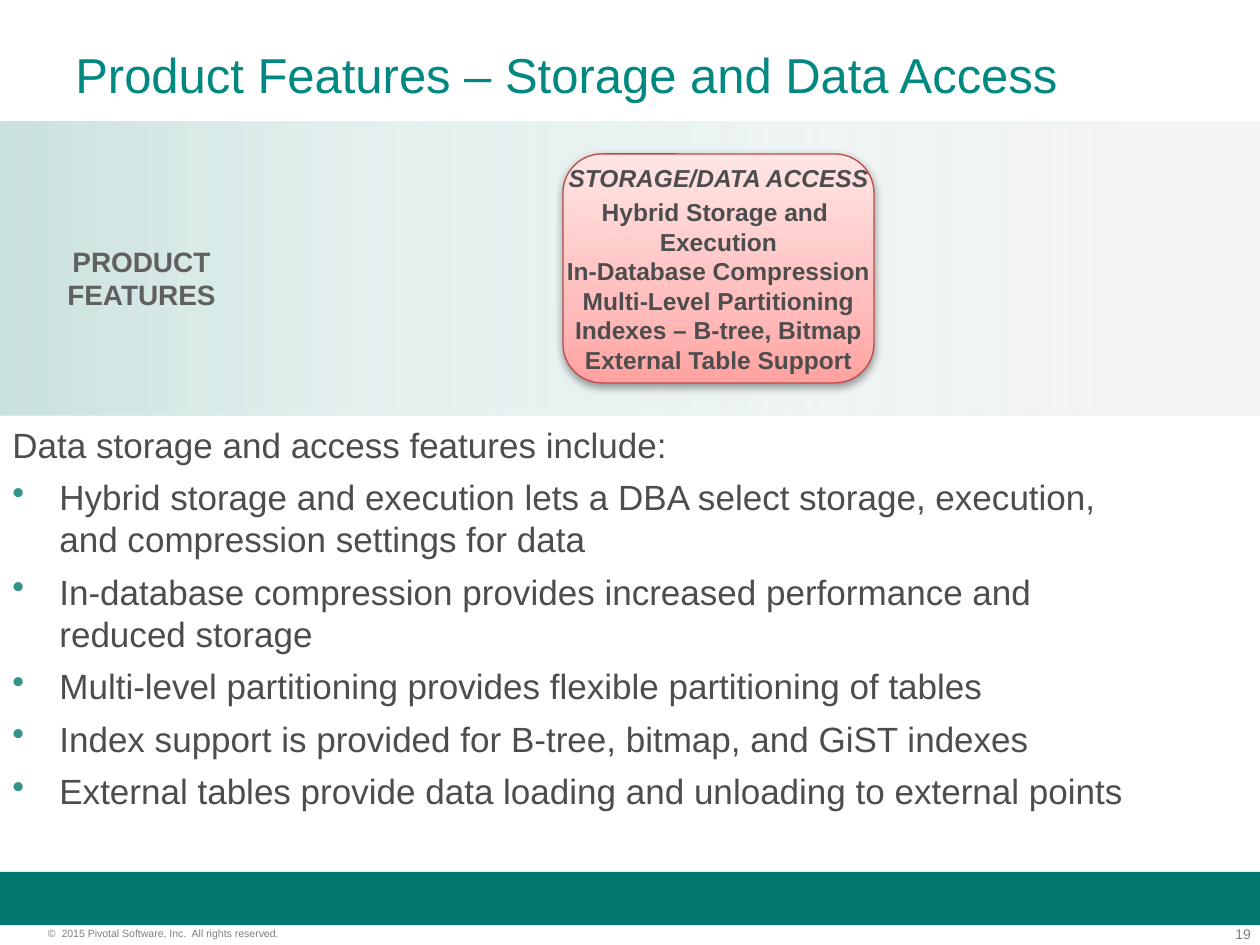
import pptx
import pptx.dml.color
import pptx.enum.shapes
import pptx.enum.text
import pptx.oxml
import pptx.oxml.ns
import pptx.util

RGB = pptx.dml.color.RGBColor
ALIGN = pptx.enum.text.PP_ALIGN
ANCHOR = pptx.enum.text.MSO_ANCHOR
SHAPE = pptx.enum.shapes.MSO_SHAPE
Pt = pptx.util.Pt
PX = 914400 / 126
NS = pptx.oxml.ns.nsdecls("a")

TITLE_TEAL = RGB(0x00, 0x88, 0x81)
FOOTER_TEAL = RGB(0x00, 0x78, 0x6E)
BULLET_TEAL = RGB(0x33, 0x92, 0x8A)
BODY_GRAY = RGB(0x4D, 0x4D, 0x4D)
LABEL_GRAY = RGB(0x60, 0x60, 0x60)
FOOTER_GRAY = RGB(0x7F, 0x7F, 0x7F)
CARD_RED = RGB(0xBE, 0x4B, 0x48)
# Gradient stops: position %, colour, opacity %
BAND_STOPS = [
    (0, RGB(0x9A, 0xC9, 0xC3), 53),
    (32, RGB(0xC2, 0xDC, 0xD9), 39),
    (63, RGB(0xE1, 0xED, 0xEC), 55),
    (90, RGB(0xF2, 0xF2, 0xF2), 79),
]
CARD_STOPS = [
    (0, RGB(0xFF, 0xA2, 0xA1), 100),
    (35, RGB(0xFF, 0xBE, 0xBD), 100),
    (100, RGB(0xFF, 0xE5, 0xE5), 100),
]

prs = pptx.Presentation()
prs.slide_width = round(1260 * PX)
prs.slide_height = round(945 * PX)
slide = prs.slides.add_slide(prs.slide_layouts[6])


def write(holder, lines, size, color, align=ALIGN.LEFT, bold=False, wrap=True, inset=None):
    """Fill a shape with one paragraph per line and return its paragraphs."""
    frame = holder.text_frame
    frame.word_wrap = wrap
    if inset is not None:
        frame.margin_left = frame.margin_right = inset
        frame.margin_top = frame.margin_bottom = inset
    frame.text = "\n".join(lines)
    for paragraph in frame.paragraphs:
        paragraph.alignment = align
        paragraph.font.name = "Arial"
        paragraph.font.size = Pt(size)
        paragraph.font.bold = bold
        paragraph.font.color.rgb = color
    return frame.paragraphs


def add_panel(kind, left, top, width, height, stops=None, angle=0):
    """Add an unlined shape, with a gradient when stops are given."""
    panel = slide.shapes.add_shape(kind, *(round(n * PX) for n in (left, top, width, height)))
    panel.shadow.inherit = False
    panel.line.fill.background()
    if stops:
        stop_xml = "".join(
            f'<a:gs pos="{pos * 1000}"><a:srgbClr val="{color}">'
            f'<a:alpha val="{opacity * 1000}"/></a:srgbClr></a:gs>'
            for pos, color, opacity in stops
        )
        panel._element.spPr.find(pptx.oxml.ns.qn("a:prstGeom")).addnext(pptx.oxml.parse_xml(
            f'<a:gradFill {NS} rotWithShape="1"><a:gsLst>{stop_xml}</a:gsLst>'
            f'<a:lin ang="{angle * 60000}" scaled="0"/></a:gradFill>'
        ))
    return panel


# Footer
footer_bar = add_panel(SHAPE.RECTANGLE, 0, 872, 1260, 53)
footer_bar.fill.solid()
footer_bar.fill.fore_color.rgb = FOOTER_TEAL

page_number = slide.shapes.add_textbox(*(round(n * PX) for n in (1178, 926, 73, 16)))
write(page_number, ["19"], 8, FOOTER_GRAY, ALIGN.RIGHT, inset=0)

copyright_line = slide.shapes.add_textbox(*(round(n * PX) for n in (48, 927, 314, 13)))
write(copyright_line, ["©  2015 Pivotal Software, Inc.  All rights reserved."], 6, FOOTER_GRAY, inset=0)

# Feature list
feature_list = slide.shapes.add_textbox(*(round(n * PX) for n in (0, 417, 1166, 431)))
features = [
    "Data storage and access features include:",
    "Hybrid storage and execution lets a DBA select storage, execution, and compression settings for data",
    "In-database compression provides increased performance and reduced storage",
    "Multi-level partitioning provides flexible partitioning of tables",
    "Index support is provided for B-tree, bitmap, and GiST indexes",
    "External tables provide data loading and unloading to external points",
]
feature_list.text_frame.text = "\n".join(features)
for i, feature in enumerate(feature_list.text_frame.paragraphs):
    properties = feature._p.get_or_add_pPr()
    properties.set("marL", str(round(47 * PX)))
    properties.set("indent", str(round(-47 * PX)))
    if i:
        properties.append(pptx.oxml.parse_xml(
            f'<a:buClr {NS}><a:srgbClr val="{BULLET_TEAL}"/></a:buClr>'))
        properties.append(pptx.oxml.parse_xml(f'<a:buChar {NS} char="•"/>'))
        feature.space_before = Pt(6)
    feature.font.name = "Arial"
    feature.font.size = Pt(20)
    feature.font.color.rgb = BODY_GRAY
feature_list.text_frame.word_wrap = True

# Gradient band with its label and card
add_panel(SHAPE.RECTANGLE, 0, 122, 1260, 294, BAND_STOPS)

band_label = slide.shapes.add_textbox(*(round(n * PX) for n in (54, 238, 175, 81)))
label_lines = write(band_label, ["PRODUCT", "FEATURES"], 16, LABEL_GRAY, ALIGN.CENTER, bold=True, wrap=False)
label_lines[-1].space_after = Pt(18)

card = add_panel(SHAPE.ROUNDED_RECTANGLE, 563, 154, 311, 229, CARD_STOPS, 270)
card.adjustments[0] = 0.17
card.line.color.rgb = CARD_RED
card.line.width = Pt(0.75)
card._element.spPr.find(pptx.oxml.ns.qn("a:effectLst")).append(pptx.oxml.parse_xml(
    f'<a:outerShdw {NS} blurRad="{Pt(5)}" dist="{Pt(1.6)}" dir="5400000" rotWithShape="0">'
    '<a:srgbClr val="000000"><a:alpha val="38000"/></a:srgbClr></a:outerShdw>'
))
card.text_frame.vertical_anchor = ANCHOR.MIDDLE
card_lines = write(card, [
    "STORAGE/DATA ACCESS",
    "Hybrid Storage and \vExecution\vIn-Database Compression",
    "Multi-Level Partitioning",
    "Indexes – B-tree, Bitmap",
    "External Table Support",
], 14, BODY_GRAY, ALIGN.CENTER, bold=True, wrap=False)
card_lines[0].font.italic = True
card_lines[0].space_after = Pt(3)

# Title
title = slide.shapes.add_textbox(*(round(n * PX) for n in (63, 38, 1134, 158)))
write(title, ["Product Features – Storage and Data Access"], 28, TITLE_TEAL)

prs.save("out.pptx")
